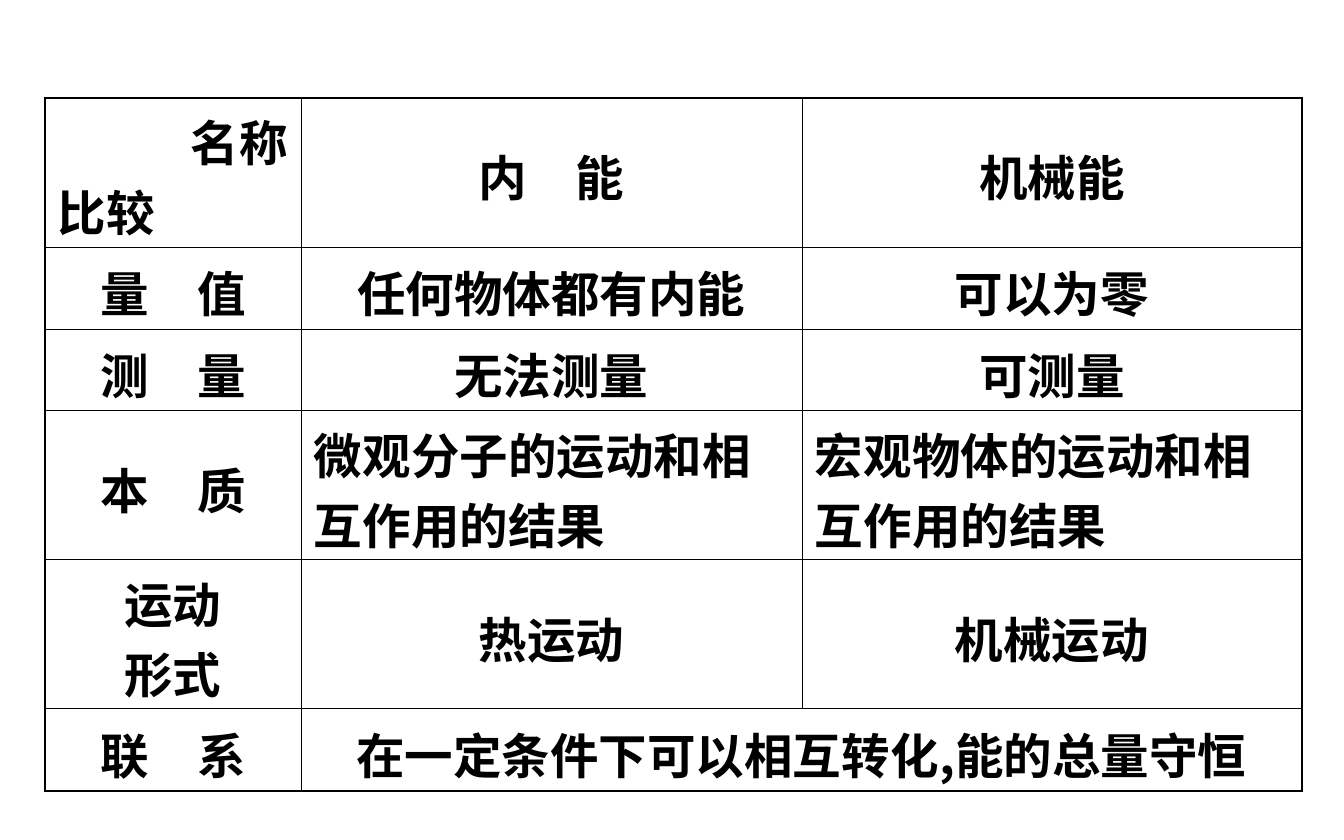
from lxml import etree
from pptx import Presentation
from pptx import util as u
from pptx.dml.color import RGBColor
from pptx.enum import text
from pptx.oxml.ns import qn

PX = 914400 / 134.4
COLORS = {"ink": "000000"}
FONT = "Noto Sans CJK SC"
LEFT, CENTER, RIGHT = text.PP_ALIGN.LEFT, text.PP_ALIGN.CENTER, text.PP_ALIGN.RIGHT
OUTER, INNER = u.Pt(1.08), u.Pt(0.45)
COLUMNS = [256, 501, 500]
ROWS = [149, 82, 82, 149, 149, 82]
CONTENT = [
    ["名称\n比较", "内　能", "机械能"],
    ["量　值", "任何物体都有内能", "可以为零"],
    ["测　量", "无法测量", "可测量"],
    ["本　质", "微观分子的运动和相互作用的结果", "宏观物体的运动和相互作用的结果"],
    ["运动\n形式", "热运动", "机械运动"],
    ["联　系", "在一定条件下可以相互转化,能的总量守恒", ""],
]
ALIGNMENTS = {(0, 0): [RIGHT, LEFT], (3, 1): [LEFT], (3, 2): [LEFT]}


def px(value):
    return u.Emu(round(value * PX))


def add_border(cell, side, width):
    properties = cell._tc.get_or_add_tcPr()
    line = etree.SubElement(properties, qn(f"a:ln{side}"), w=str(width))
    fill = etree.SubElement(line, qn("a:solidFill"))
    etree.SubElement(fill, qn("a:srgbClr"), val=COLORS["ink"])


presentation = Presentation()
presentation.slide_width = u.Inches(10)
presentation.slide_height = u.Inches(6.25)
slide = presentation.slides.add_slide(presentation.slide_layouts[6])

frame = slide.shapes.add_table(
    len(ROWS), len(COLUMNS), px(45), px(98), px(sum(COLUMNS)), px(sum(ROWS))
)
table = frame.table
table.first_row = False
table.horz_banding = False
for column, width in zip(table.columns, COLUMNS):
    column.width = px(width)
for row, height in zip(table.rows, ROWS):
    row.height = px(height)
table.cell(5, 1).merge(table.cell(5, 2))

for row_index, labels in enumerate(CONTENT):
    for column_index, label in enumerate(labels):
        cell = table.cell(row_index, column_index)
        cell.vertical_anchor = text.MSO_ANCHOR.MIDDLE
        cell.margin_left = cell.margin_right = px(13)
        cell.margin_top, cell.margin_bottom = px(7), px(1)
        last_column = column_index == 2 or cell.is_merge_origin
        edges = {
            "L": column_index == 0,
            "R": last_column,
            "T": row_index == 0,
            "B": row_index == len(ROWS) - 1,
        }
        for side, is_outer in edges.items():
            add_border(cell, side, OUTER if is_outer else INNER)
        cell.fill.background()
        if cell.is_spanned:
            continue

        lines = label.split("\n")
        alignments = ALIGNMENTS.get((row_index, column_index), [CENTER] * len(lines))
        for line_index, (line, alignment) in enumerate(zip(lines, alignments)):
            text_frame = cell.text_frame
            paragraph = text_frame.add_paragraph() if line_index else text_frame.paragraphs[0]
            paragraph.alignment = alignment
            run = paragraph.add_run()
            run.text = line
            run.font.size = u.Pt(26)
            run.font.bold = True
            run.font.name = FONT
            run.font.color.rgb = RGBColor.from_string(COLORS["ink"])
            run.font.language_id = None
            etree.SubElement(run.font._element, qn("a:ea"), typeface=FONT)

presentation.save("out.pptx")
